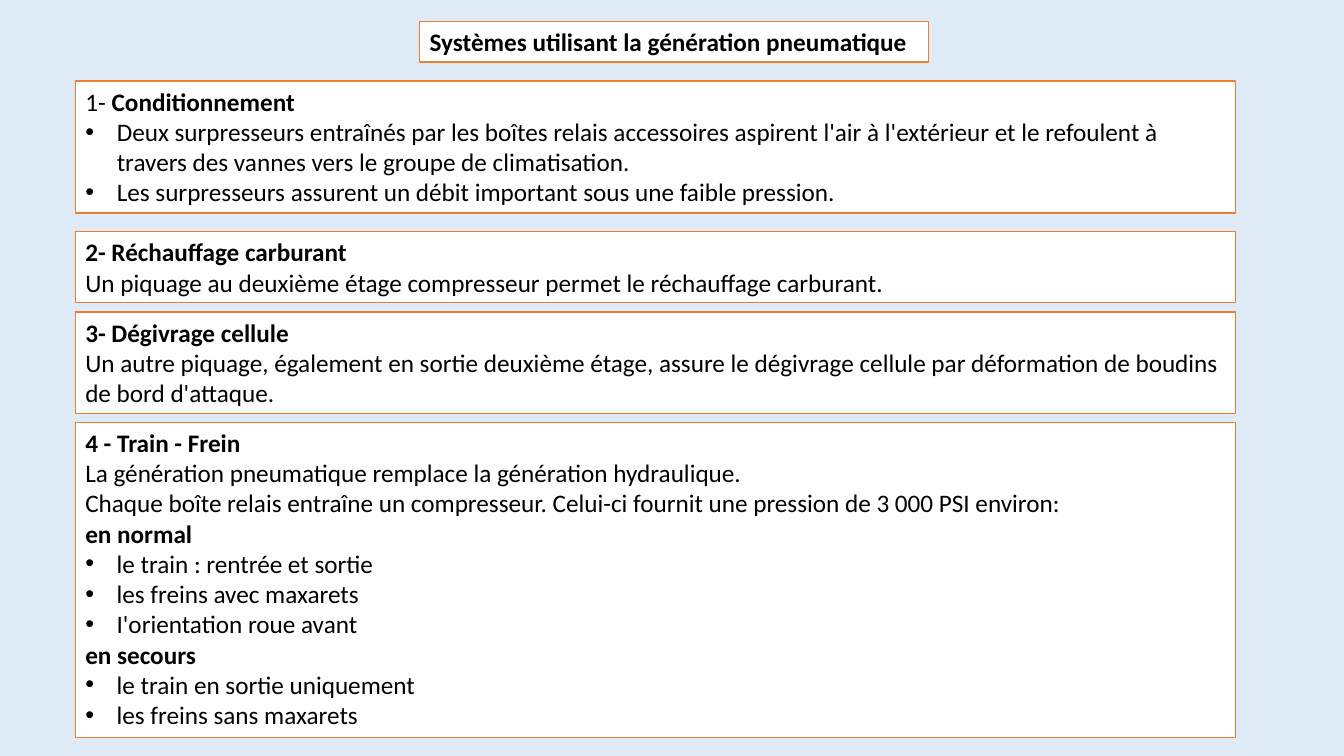
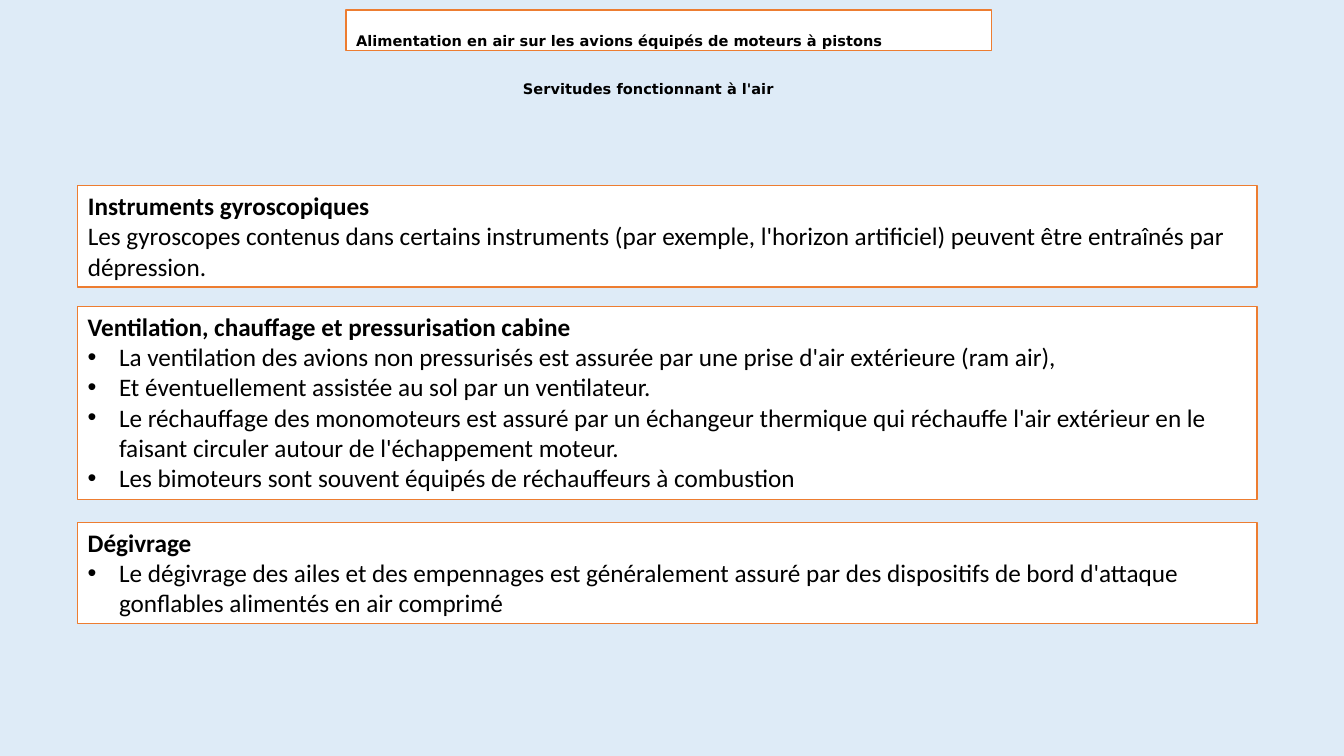
from lxml import etree
from pptx import Presentation
from pptx.dml.color import RGBColor
from pptx.enum.shapes import MSO_SHAPE
from pptx.enum.text import MSO_ANCHOR, MSO_AUTO_SIZE, PP_ALIGN
from pptx.oxml.ns import qn
from pptx.util import Cm, Pt

RECTANGLE = MSO_SHAPE.RECTANGLE
LEFT = PP_ALIGN.LEFT
TOP = MSO_ANCHOR.TOP
FIXED_SIZE = MSO_AUTO_SIZE.NONE

SKY = RGBColor(0xDE, 0xEB, 0xF7)
ORANGE = RGBColor(0xED, 0x7D, 0x31)
WHITE = RGBColor(0xFF, 0xFF, 0xFF)
BLACK = RGBColor(0x00, 0x00, 0x00)

BODY_FONT = "Calibri"
LOWERED_FONT = "DejaVu Sans"
HEADING, PLAIN, BULLET = "heading", "plain", "bullet"

LINE_HEIGHT = 0.77
PADDING = 0.25
BULLET_INDENT = Cm(0.79)


def box_height(lines):
    return Cm(PADDING + LINE_HEIGHT * lines)


def set_values(target, values):
    for name, value in values.items():
        setattr(target, name, value)


class Lesson:
    """Holds the deck style and the slide being filled."""

    def __init__(self):
        self.deck = Presentation()
        set_values(self.deck, {"slide_width": Cm(33.87), "slide_height": Cm(19.05)})
        background = self.deck.slide_master.background.fill
        background.solid()
        background.fore_color.rgb = SKY
        self.page = None
        self.free_body = None

    def new_page(self, panel_left, panel_width):
        self.page = self.deck.slides.add_slide(self.deck.slide_layouts[1])
        self.free_body = self.page.placeholders[1]
        self.panel_left, self.panel_width = panel_left, panel_width

    def place(self, box, left, top, width, lines):
        set_values(box, {"left": Cm(left), "top": Cm(top),
                         "width": Cm(width), "height": box_height(lines)})
        set_values(box.text_frame, {"word_wrap": True, "auto_size": FIXED_SIZE,
                                    "vertical_anchor": TOP})

    def frame(self, box):
        box.fill.solid()
        box.fill.fore_color.rgb = WHITE
        box.line.color.rgb = ORANGE
        box.line.width = Pt(1)

    def add_span(self, para, text, bold, lowered=False):
        span = para.add_run()
        span.text = text
        set_values(span.font, {"name": LOWERED_FONT if lowered else BODY_FONT,
                               "size": Pt(18), "bold": bold})
        span.font.color.rgb = BLACK
        if lowered:
            span._r.get_or_add_rPr().set("baseline", "-25000")

    def format_para(self, para, bulleted=False):
        set_values(para, {"alignment": LEFT, "line_spacing": 1.0,
                          "space_before": Pt(0), "space_after": Pt(0)})
        properties = para._p.get_or_add_pPr()
        indent = BULLET_INDENT if bulleted else 0
        properties.set("marL", str(indent))
        properties.set("indent", str(-indent))
        if bulleted:
            etree.SubElement(properties, qn("a:buFont")).set("typeface", "Arial")
            etree.SubElement(properties, qn("a:buChar")).set("char", "•")
        else:
            etree.SubElement(properties, qn("a:buNone"))

    def add_line(self, box, text, lowered):
        para = box.text_frame.paragraphs[0]
        self.format_para(para)
        self.add_span(para, text, True, lowered)

    def title(self, text, left, top, width, lowered=False):
        box = self.page.shapes.title
        self.place(box, left, top, width, 1)
        self.frame(box)
        self.add_line(box, text, lowered)

    def subtitle(self, text, left, top, width):
        box = self.page.shapes.add_textbox(0, 0, 0, 0)
        self.place(box, left, top, width, 1)
        self.add_line(box, text, True)

    def panel(self, top, lines, rows, number=""):
        """Framed text; the first one on a page fills the body placeholder."""
        box, self.free_body = self.free_body, None
        if box is None:
            box = self.page.shapes.add_shape(RECTANGLE, 0, 0, 0, 0)
            box.shadow.inherit = False
        self.place(box, self.panel_left, top, self.panel_width, lines)
        self.frame(box)
        text_frame = box.text_frame
        for index, (kind, text) in enumerate(rows):
            para = text_frame.add_paragraph() if index else text_frame.paragraphs[0]
            self.format_para(para, kind == BULLET)
            if number and not index:
                self.add_span(para, number, False)
            self.add_span(para, text, kind == HEADING)


def pneumatic_systems(lesson):
    lesson.new_page(1.9, 29.23)
    lesson.title("Systèmes utilisant la génération pneumatique", 10.57, 0.54, 12.83)
    lesson.panel(2.04, 4, [
        (HEADING, "Conditionnement"),
        (BULLET, "Deux surpresseurs entraînés par les boîtes relais accessoires aspirent "
                 "l'air à l'extérieur et le refoulent à travers des vannes vers le groupe "
                 "de climatisation."),
        (BULLET, "Les surpresseurs assurent un débit important sous une faible pression."),
    ], number="1- ")
    lesson.panel(5.84, 2, [
        (HEADING, "2- Réchauffage carburant"),
        (PLAIN, "Un piquage au deuxième étage compresseur permet le réchauffage carburant."),
    ])
    lesson.panel(7.86, 3, [
        (HEADING, "3- Dégivrage cellule"),
        (PLAIN, "Un autre piquage, également en sortie deuxième étage, assure le dégivrage "
                "cellule par déformation de boudins de bord d'attaque."),
    ])
    lesson.panel(10.64, 10, [
        (HEADING, "4 - Train - Frein"),
        (PLAIN, "La génération pneumatique remplace la génération hydraulique."),
        (PLAIN, "Chaque boîte relais entraîne un compresseur. Celui-ci fournit une pression "
                "de 3 000 PSI environ:"),
        (HEADING, "en normal"),
        (BULLET, "le train : rentrée et sortie"),
        (BULLET, "les freins avec maxarets"),
        (BULLET, "I'orientation roue avant"),
        (HEADING, "en secours"),
        (BULLET, "le train en sortie uniquement"),
        (BULLET, "les freins sans maxarets"),
    ])


def piston_aircraft(lesson):
    lesson.new_page(1.96, 29.72)
    lesson.title("Alimentation en air sur les avions équipés de moteurs à pistons",
                 8.72, 0.25, 16.26, lowered=True)
    lesson.subtitle("Servitudes fonctionnant à l'air", 12.93, 1.47, 7.8)
    lesson.panel(4.67, 3, [
        (HEADING, "Instruments gyroscopiques"),
        (PLAIN, "Les gyroscopes contenus dans certains instruments (par exemple, l'horizon "
                "artificiel) peuvent être entraînés par dépression."),
    ])
    lesson.panel(7.72, 6, [
        (HEADING, "Ventilation, chauffage et pressurisation cabine"),
        (BULLET, "La ventilation des avions non pressurisés est assurée par une prise d'air "
                 "extérieure (ram air),"),
        (BULLET, "Et éventuellement assistée au sol par un ventilateur."),
        (BULLET, "Le réchauffage des monomoteurs est assuré par un échangeur thermique qui "
                 "réchauffe l'air extérieur en le faisant circuler autour de l'échappement "
                 "moteur."),
        (BULLET, "Les bimoteurs sont souvent équipés de réchauffeurs à combustion"),
    ])
    lesson.panel(13.16, 3, [
        (HEADING, "Dégivrage"),
        (BULLET, "Le dégivrage des ailes et des empennages est généralement assuré par des "
                 "dispositifs de bord d'attaque gonflables alimentés en air comprimé"),
    ])


def main():
    lesson = Lesson()
    pneumatic_systems(lesson)
    piston_aircraft(lesson)
    lesson.deck.save("out.pptx")


if __name__ == "__main__":
    main()
